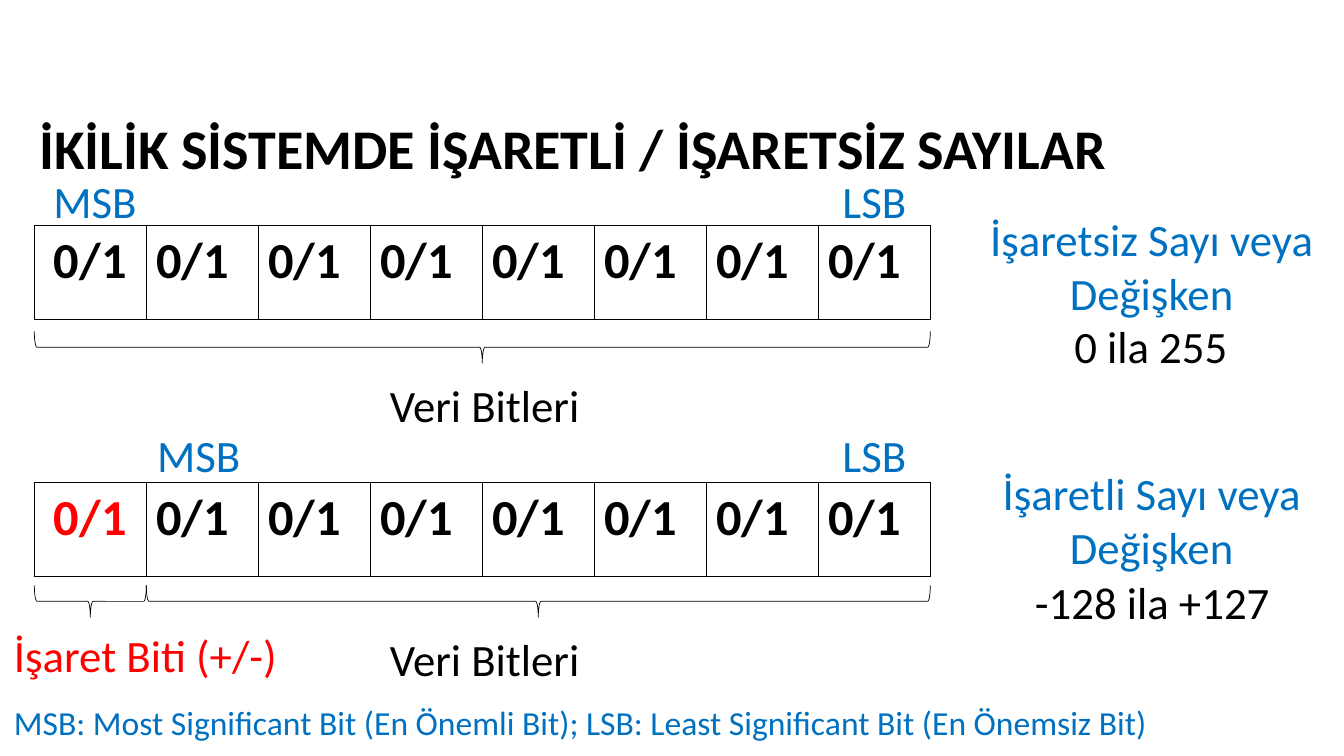
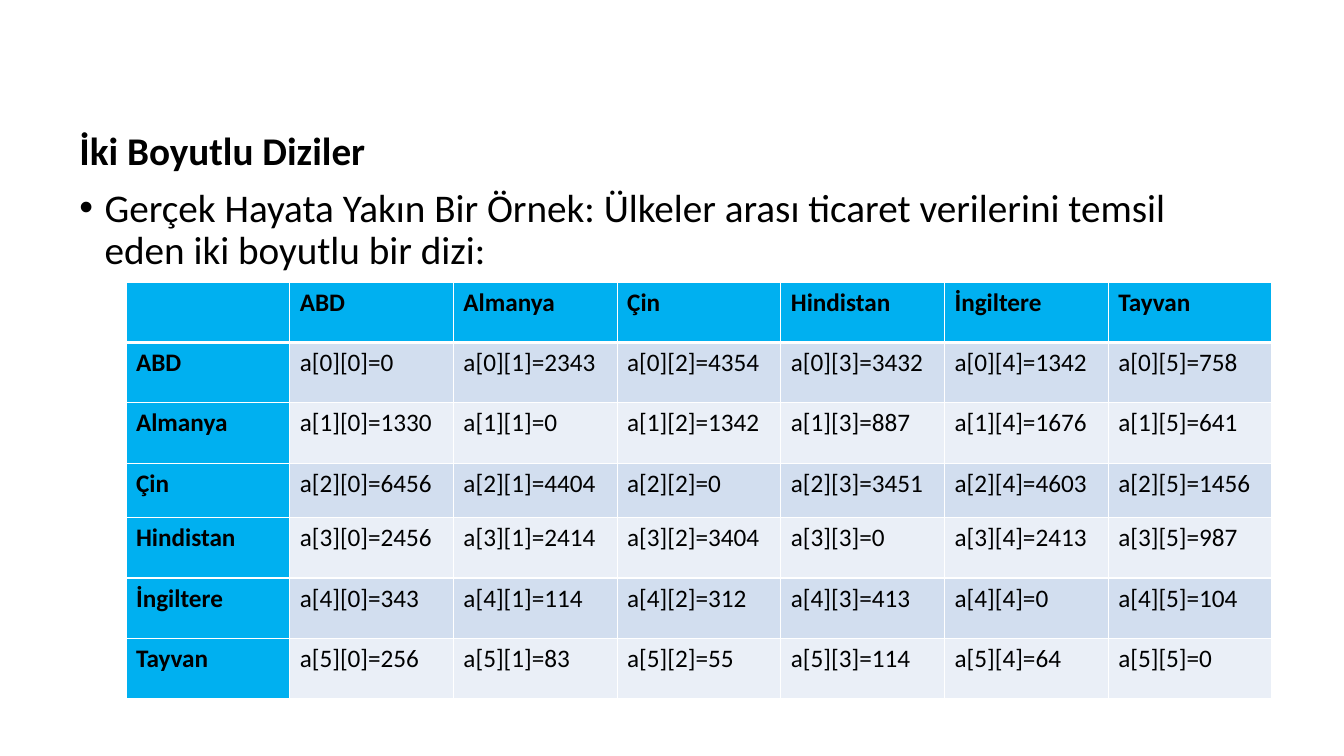
"""Build two slides on signed binary numbers and two-dimensional arrays."""
from dataclasses import dataclass

from lxml import etree
from pptx import Presentation
from pptx import util as u
from pptx.dml import color
from pptx.enum import shapes, text
from pptx.oxml import ns
from pptx.slide import Slide
from pptx.table import Table, _Cell
from pptx.text.text import _Paragraph

FONT = "Calibri"
COLORS = {
    "black": "000000",
    "white": "FFFFFF",
    "blue": "0070C0",
    "red": "FF0000",
    "header": "00B0F0",
    "band_dark": "D2DEEF",
    "band_light": "EAEFF7",
}
BIT_COUNT = 8
BIT_WIDTH = 80
BIT_HEIGHT = 66.7
BITS_LEFT = 24.5
BRACE_DEPTH = 22.7
COUNTRIES = ["ABD", "Almanya", "Çin", "Hindistan", "İngiltere", "Tayvan"]
TRADE = [
    [0, 2343, 4354, 3432, 1342, 758],
    [1330, 0, 1342, 887, 1676, 641],
    [6456, 4404, 0, 3451, 4603, 1456],
    [2456, 2414, 3404, 0, 2413, 987],
    [343, 114, 312, 413, 0, 104],
    [256, 83, 55, 114, 64, 0],
]


@dataclass(frozen=True)
class Label:
    """A text box with one paragraph, measured in points."""

    content: str
    left: float
    top: float
    width: float
    height: float = 46
    size: float = 32
    color: str = "black"
    bold: bool = False
    wrap: bool = False
    centered: bool = False


@dataclass(frozen=True)
class BitPanel:
    """A row of bits with its labels; a signed row marks its first bit."""

    top: float
    table_top: float
    msb_left: float
    description: str
    value_range: Label
    signed: bool


TITLE = Label("İKİLİK SİSTEMDE İŞARETLİ / İŞARETSİZ SAYILAR", 20.9, 77.8, 784, 55.4, size=40, bold=True)
FOOTNOTE = Label(
    "MSB: Most Significant Bit (En Önemli Bit); LSB: Least Significant Bit (En Önemsiz Bit)",
    2.9, 497.5, 831, 36, size=24, color="blue",
)
SIGN_LABEL = Label("İşaret Biti (+/-)", 2.9, 445, 204.5, color="red")
PANELS = [
    BitPanel(120.2, 161.3, 31, "İşaretsiz Sayı veya Değişken",
             Label("0 ila 255", 760.3, 223.9, 145.4, wrap=True), False),
    BitPanel(301.7, 344.9, 105.1, "İşaretli Sayı veya Değişken",
             Label("-128 ila +127", 732.2, 406.8, 189.4, wrap=True), True),
]


def rgb(name: str) -> color.RGBColor:
    """Return the named colour."""
    return color.RGBColor.from_string(COLORS[name])


def style(paragraph: _Paragraph, size: float, color_name: str = "black", bold: bool = False) -> None:
    """Set the font of a paragraph."""
    font = paragraph.font
    font.name, font.size, font.bold = FONT, u.Pt(size), bold
    font.color.rgb = rgb(color_name)


def add_label(slide: Slide, label: Label) -> None:
    """Draw a label."""
    box = slide.shapes.add_textbox(*map(u.Pt, (label.left, label.top, label.width, label.height)))
    frame = box.text_frame
    frame.word_wrap = label.wrap
    frame.auto_size = text.MSO_AUTO_SIZE.SHAPE_TO_FIT_TEXT
    paragraph = frame.paragraphs[0]
    paragraph.text = label.content
    if label.centered:
        paragraph.alignment = text.PP_ALIGN.CENTER
    style(paragraph, label.size, label.color, label.bold)


def add_brace(slide: Slide, left: float, top: float, length: float) -> None:
    """Draw a brace that opens upwards, by turning a right brace."""
    shape = slide.shapes.add_shape(
        shapes.MSO_SHAPE.RIGHT_BRACE,
        u.Pt(left + (length - BRACE_DEPTH) / 2),
        u.Pt(top + (BRACE_DEPTH - length) / 2),
        u.Pt(BRACE_DEPTH),
        u.Pt(length),
    )
    shape.rotation = 90
    shape.shadow.inherit = False
    shape.fill.background()
    shape.line.color.rgb = rgb("black")
    shape.line.width = u.Pt(0.5)


def add_plain_table(slide: Slide, left: float, top: float, column_width: float,
                    columns: int, heights: list[float]) -> Table:
    """Add a table with equal columns and no style options."""
    frame = slide.shapes.add_table(
        len(heights), columns, *map(u.Pt, (left, top, column_width * columns, sum(heights)))
    )
    table = frame.table
    table.first_row = table.horz_banding = False
    for column in table.columns:
        column.width = u.Pt(column_width)
    for row, height in zip(table.rows, heights):
        row.height = u.Pt(height)
    return table


def style_cell(cell: _Cell, fill: str, border: str, top: float = 1, bottom: float = 1) -> None:
    """Set the borders and the fill of a cell."""
    properties = cell._tc.get_or_add_tcPr()
    for side, width in {"L": 1, "R": 1, "T": top, "B": bottom}.items():
        line = etree.SubElement(properties, ns.qn(f"a:ln{side}"), w=str(u.Pt(width)))
        solid = etree.SubElement(line, ns.qn("a:solidFill"))
        etree.SubElement(solid, ns.qn("a:srgbClr"), val=COLORS[border])
    cell.fill.solid()
    cell.fill.fore_color.rgb = rgb(fill)


def add_bit_panel(slide: Slide, panel: BitPanel) -> None:
    """Draw a row of bits with its braces and labels."""
    labels = [
        Label("MSB", panel.msb_left, panel.top, 74.9, color="blue"),
        Label("LSB", 594.7, panel.top, 60.5, color="blue"),
        Label("Veri Bitleri", 271.4, panel.top + 146.2, 151.2),
        Label(panel.description, 675.4, panel.top + 27.4, 294.5, 85,
              color="blue", wrap=True, centered=True),
        panel.value_range,
    ]
    for label in labels:
        add_label(slide, label)
    table = add_plain_table(slide, BITS_LEFT, panel.table_top, BIT_WIDTH, BIT_COUNT, [BIT_HEIGHT])
    for index, cell in enumerate(table.iter_cells()):
        style_cell(cell, "white", "black")
        paragraph = cell.text_frame.paragraphs[0]
        paragraph.text = "0/1"
        if index == 0:
            paragraph.alignment = text.PP_ALIGN.CENTER
        style(paragraph, 36, "red" if panel.signed and index == 0 else "black", True)
    brace_top = panel.top + 116.5
    sign_width = BIT_WIDTH if panel.signed else 0
    if panel.signed:
        add_brace(slide, BITS_LEFT, brace_top, sign_width)
        add_label(slide, SIGN_LABEL)
    add_brace(slide, BITS_LEFT + sign_width, brace_top, BIT_COUNT * BIT_WIDTH - sign_width)


def build_bits_slide(slide: Slide) -> None:
    """Compare unsigned and signed bytes."""
    add_label(slide, TITLE)
    for panel in PANELS:
        add_bit_panel(slide, panel)
    add_label(slide, FOOTNOTE)


def add_array_text(slide: Slide) -> None:
    """Draw the heading and the bullet above the trade table."""
    frame = slide.shapes.add_textbox(*map(u.Pt, (49.7, 90.7, 828, 385.2))).text_frame
    frame.word_wrap = True
    heading, bullet = frame.paragraphs[0], frame.add_paragraph()
    heading.text = "İki Boyutlu Diziler"
    bullet.text = ("Gerçek Hayata Yakın Bir Örnek: Ülkeler arası ticaret verilerini temsil "
                   "eden iki boyutlu bir dizi:")
    for paragraph in (heading, bullet):
        paragraph.line_spacing = 0.9
        paragraph.space_before = u.Pt(10)
        style(paragraph, 28, bold=paragraph is heading)
    properties = bullet._p.get_or_add_pPr()
    properties.set("marL", str(u.Pt(18)))
    properties.set("indent", str(-u.Pt(18)))
    etree.SubElement(properties, ns.qn("a:buFont"), typeface="Arial")
    etree.SubElement(properties, ns.qn("a:buChar"), char="•")
    properties.append(properties.find(ns.qn("a:defRPr")))


def add_trade_table(slide: Slide) -> None:
    """Draw the trade values as elements of a two-dimensional array."""
    rows = [["", *COUNTRIES]]
    for i, (country, values) in enumerate(zip(COUNTRIES, TRADE)):
        rows.append([country, *(f"a[{i}][{j}]={value}" for j, value in enumerate(values))])
    heights = [38.9 if row[0] == "Çin" else 43.1 for row in rows]
    table = add_plain_table(slide, 90, 201.6, 116.95, len(rows[0]), heights)
    for i, row in enumerate(rows):
        band = "band_dark" if i % 2 else "band_light"
        for j, content in enumerate(row):
            is_header = i == 0 or j == 0
            cell = table.cell(i, j)
            style_cell(cell, "header" if is_header else band, "white",
                       top=3 if i == 1 else 1, bottom=3 if i == 0 else 1)
            paragraph = cell.text_frame.paragraphs[0]
            paragraph.text = content
            style(paragraph, 18, bold=is_header)


def build_array_slide(slide: Slide) -> None:
    """Show a two-dimensional array of trade data."""
    add_array_text(slide)
    add_trade_table(slide)


def main() -> None:
    """Build and save the presentation."""
    presentation = Presentation()
    presentation.slide_width, presentation.slide_height = u.Pt(960), u.Pt(540)
    blank = presentation.slide_layouts[6]
    for build in (build_bits_slide, build_array_slide):
        build(presentation.slides.add_slide(blank))
    presentation.save("out.pptx")


if __name__ == "__main__":
    main()
